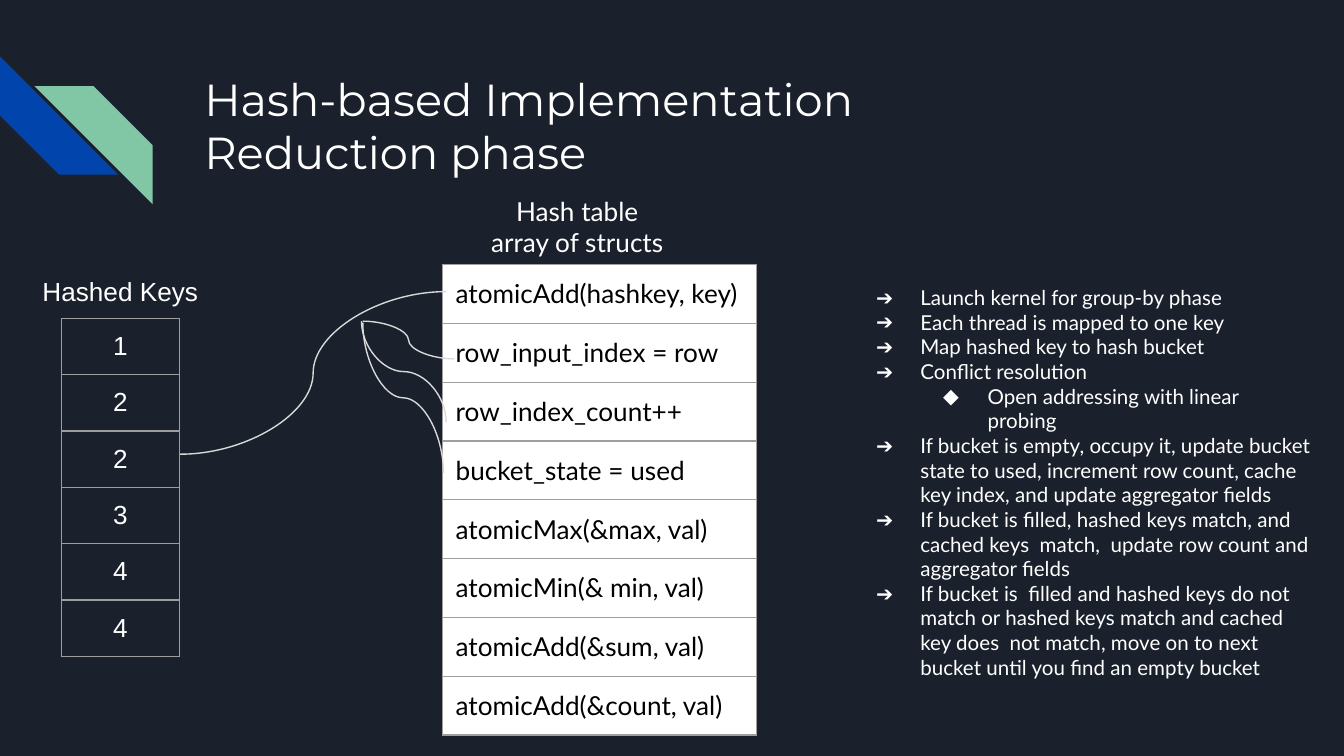
from lxml import etree
from pptx import Presentation
from pptx.dml.color import RGBColor
from pptx.enum.shapes import MSO_CONNECTOR, MSO_SHAPE
from pptx.enum.text import MSO_ANCHOR, MSO_AUTO_SIZE, PP_ALIGN
from pptx.oxml.ns import qn
from pptx.util import Inches, Pt

CURVE = MSO_CONNECTOR.CURVE
STRIPE = MSO_SHAPE.DIAGONAL_STRIPE
TOP = MSO_ANCHOR.TOP
NO_FIT = MSO_AUTO_SIZE.NONE
LEFT, CENTER = PP_ALIGN.LEFT, PP_ALIGN.CENTER

WIDTH, HEIGHT = Inches(10), Inches(5.625)
NAVY, BLUE, GREEN = "1B212C", "0145AC", "82C7A5"
WHITE, BLACK, GRID_GRAY, WIRE_GRAY = "FFFFFF", "000000", "9E9E9E", "D9D9D9"

HASHED_KEYS = ["1", "2", "2", "3", "4", "4"]
BUCKET_STEPS = [
    "atomicAdd(hashkey, key)", "row_input_index = row",
    "row_index_count++", "bucket_state = used",
    "atomicMax(&max, val)", "atomicMin(& min, val)",
    "atomicAdd(&sum, val)", "atomicAdd(&count, val)",
]
# Each entry is a level and its text.
PHASE_STEPS = [
    (0, "Launch kernel for group-by phase"),
    (0, "Each thread is mapped to one key"),
    (0, "Map hashed key to hash bucket"),
    (0, "Conflict resolution"),
    (1, "Open addressing with linear probing"),
    (0, "If bucket is empty, occupy it, update bucket state to used, "
        "increment row count, cache key index, and update aggregator fields"),
    (0, "If bucket is filled, hashed keys match, and cached keys  match,  "
        "update row count and aggregator fields"),
    (0, "If bucket is  filled and hashed keys do not match or hashed keys "
        "match and cached key does  not match, move on to next bucket until "
        "you find an empty bucket"),
]
BULLETS = ["➔", "◆"]


def color(hex_string):
    return RGBColor.from_string(hex_string)


def across(percent):
    """Length as a percentage of the slide's width."""
    return round(WIDTH * percent / 100)


def down(percent):
    """Length as a percentage of the slide's height."""
    return round(HEIGHT * percent / 100)


def area(left, top, width, height):
    return across(left), down(top), across(width), down(height)


def style(para, font, size, ink=WHITE, align=LEFT):
    para.alignment = align
    para.font.name = font
    para.font.size = Pt(size)
    para.font.color.rgb = color(ink)


def fill_frame(frame, lines, font, size, align=LEFT):
    """Write one paragraph per line, starting at the top of the frame."""
    frame.word_wrap = True
    frame.auto_size = NO_FIT
    frame.vertical_anchor = TOP
    frame.margin_left = frame.margin_right = Inches(0.1)
    frame.margin_top = frame.margin_bottom = Inches(0.1)
    frame.text = "\n".join(lines)
    for para in frame.paragraphs:
        para.space_before = Pt(0)
        style(para, font, size, align=align)


def add_text(page, place, lines, font, size, align=LEFT):
    box = page.shapes.add_textbox(*area(*place))
    fill_frame(box.text_frame, lines, font, size, align)
    return box


def add_stripe(page, left, top, fill, rotation):
    side = across(8.8)
    stripe = page.shapes.add_shape(STRIPE, across(left), down(top), side, side)
    stripe.rotation = rotation
    stripe.shadow.inherit = False
    stripe.fill.solid()
    stripe.fill.fore_color.rgb = color(fill)
    stripe.line.fill.background()


def set_title(page, lines):
    title = page.shapes.title
    title.left, title.top, title.width, title.height = area(14.2, 7.64, 77, 17.78)
    fill_frame(title.text_frame, lines, "Montserrat", 24)


def add_borders(cell):
    properties = cell._tc.get_or_add_tcPr()
    for side in ("lnL", "lnR", "lnT", "lnB"):
        border = etree.SubElement(properties, qn(f"a:{side}"), w=str(Pt(0.75)))
        solid = etree.SubElement(border, qn("a:solidFill"))
        etree.SubElement(solid, qn("a:srgbClr"), val=GRID_GRAY)


def add_column(page, left, top, width, row_height, entries, font, ink, align, fill=None):
    """Add a one-column table with one entry per row."""
    place = area(left, top, width, row_height * len(entries))
    table = page.shapes.add_table(len(entries), 1, *place).table
    table.first_row = table.horz_banding = False
    for row, entry in enumerate(entries):
        table.rows[row].height = down(row_height)
        cell = table.cell(row, 0)
        cell.margin_left = cell.margin_right = Inches(0.1)
        cell.margin_top = cell.margin_bottom = Inches(0.1)
        cell.text = entry
        style(cell.text_frame.paragraphs[0], font, 14, ink, align)
        add_borders(cell)
        if fill:
            cell.fill.solid()
            cell.fill.fore_color.rgb = color(fill)
        else:
            cell.fill.background()


def add_bullet(para, level):
    para.level = level
    properties = para._p.get_or_add_pPr()
    properties.set("marL", str(Inches(0.5 * (level + 1))))
    properties.set("indent", str(Inches(-0.33)))
    tint = etree.Element(qn("a:buClr"))
    etree.SubElement(tint, qn("a:srgbClr"), val=WHITE)
    face = etree.Element(qn("a:buFont"), typeface="Lato")
    mark = etree.Element(qn("a:buChar"), char=BULLETS[level])
    defaults = properties.find(qn("a:defRPr"))
    for part in (tint, face, mark):
        defaults.addprevious(part)


def add_phase_steps(page):
    lines = [text for _, text in PHASE_STEPS]
    box = add_text(page, (62.5, 35.91, 36, 51.38), lines, "Lato", 11)
    for para, (level, _) in zip(box.text_frame.paragraphs, PHASE_STEPS):
        add_bullet(para, level)


def add_curve(page, start, end, upright=False):
    """Add an S-curve; an upright one leaves and arrives vertically."""
    x1, y1 = across(start[0]), down(start[1])
    x2, y2 = across(end[0]), down(end[1])
    if upright:
        # Lay the curve on its side about its centre, then turn it back.
        middle_x, middle_y = (x1 + x2) // 2, (y1 + y2) // 2
        half_x, half_y = (x2 - x1) // 2, (y2 - y1) // 2
        x1, x2 = middle_x + half_y, middle_x - half_y
        y1, y2 = middle_y - half_x, middle_y + half_x
    curve = page.shapes.add_connector(CURVE, x1, y1, x2, y2)
    curve.line.color.rgb = color(WIRE_GRAY)
    curve.line.width = Pt(0.75)
    properties = curve._element.spPr
    etree.SubElement(properties, qn("a:effectLst"))
    if upright:
        properties.find(qn("a:xfrm")).set("rot", str(270 * 60000))


def main():
    deck = Presentation()
    deck.slide_width, deck.slide_height = WIDTH, HEIGHT
    page = deck.slides.add_slide(deck.slide_layouts[5])
    page.background.fill.solid()
    page.background.fill.fore_color.rgb = color(NAVY)

    add_stripe(page, 0, 7.47, BLUE, 270)
    add_stripe(page, 2.55, 11.38, GREEN, 90)
    set_title(page, ["Hash-based Implementation", "Reduction phase"])

    add_column(page, 4.55, 42.13, 8.8, 7.43, HASHED_KEYS, "Arial", WHITE, CENTER)
    add_text(page, (2, 34.67, 13.9, 4.44), ["Hashed Keys"], "Arial", 14, CENTER)
    add_column(page, 32.9, 35.02, 23.4, 7.78, BUCKET_STEPS, "Lato", BLACK, LEFT, WHITE)
    add_text(page, (32.9, 24, 20.1, 9.96), ["Hash table", "array of structs"],
             "Lato", 14, CENTER)

    add_curve(page, (13.4, 60.09), (33.2, 38.58))
    add_phase_steps(page)
    add_curve(page, (27, 42.49), (33.8, 47.47))
    add_curve(page, (26.9, 42.49), (33.2, 55.82), upright=True)
    add_curve(page, (27, 42.67), (33, 62.58), upright=True)
    deck.save("out.pptx")


if __name__ == "__main__":
    main()
